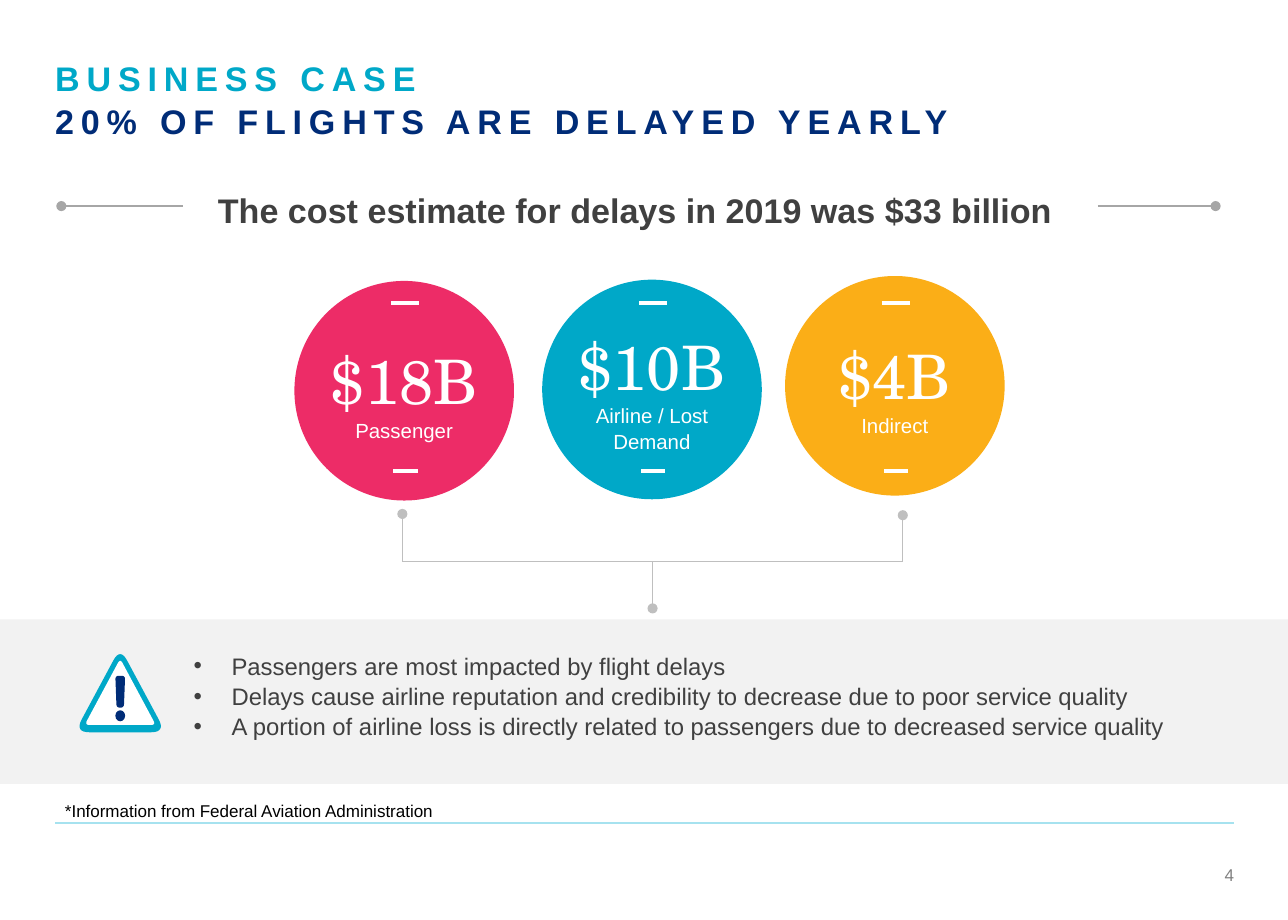
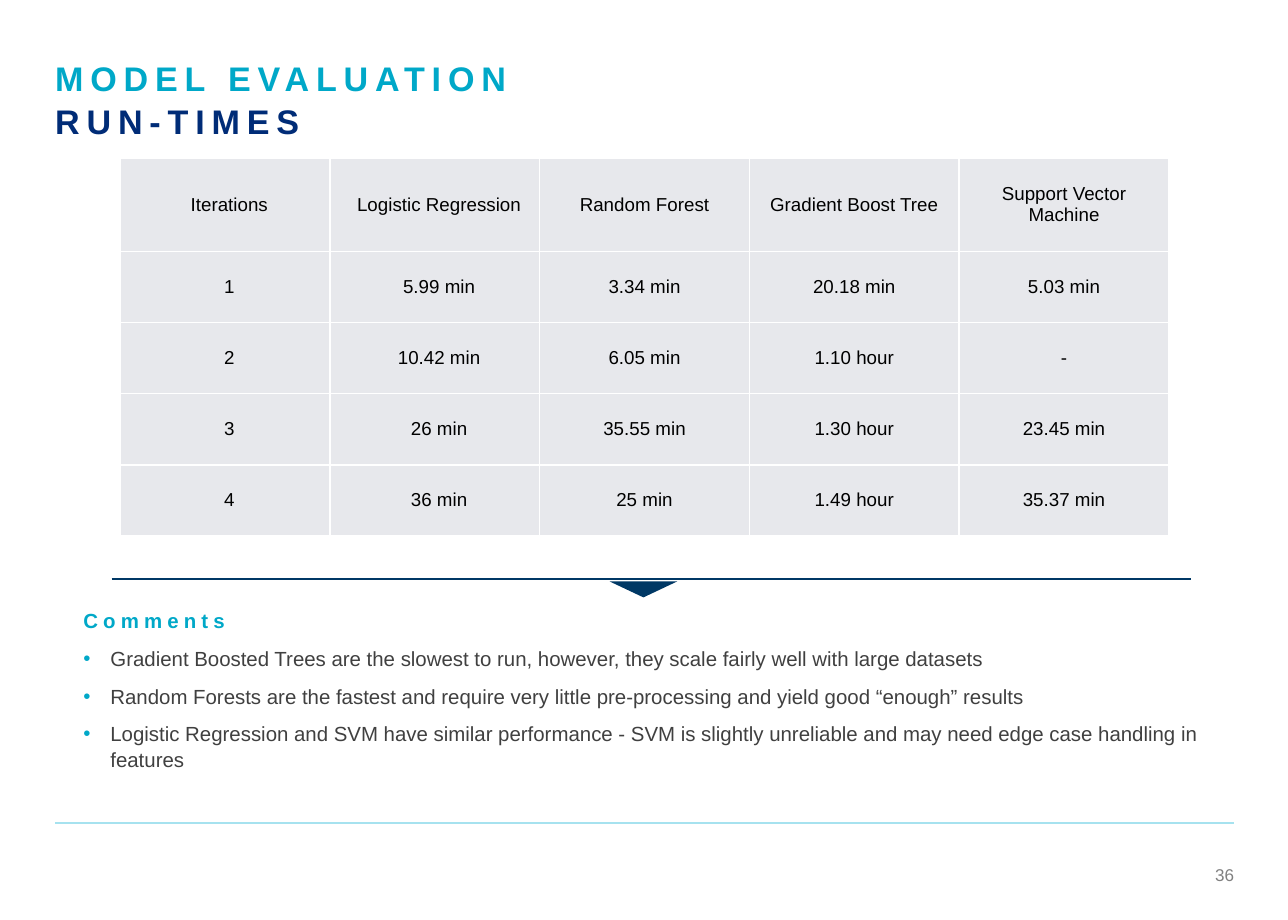
from math import hypot

from lxml.etree import SubElement
from pptx import Presentation
from pptx.dml.color import RGBColor
from pptx.enum.shapes import MSO_CONNECTOR as Connector, MSO_SHAPE as Shape
from pptx.enum.text import MSO_ANCHOR as Anchor, PP_ALIGN as Align
from pptx.oxml.ns import qn
from pptx.util import Inches, Pt

TEAL = RGBColor(0x00, 0xA8, 0xC8)
NAVY = RGBColor(0x00, 0x2C, 0x77)
DEEP_BLUE = RGBColor(0x00, 0x38, 0x65)
PINK = RGBColor(0xED, 0x2C, 0x67)
AMBER = RGBColor(0xFB, 0xAE, 0x17)
PALE_TEAL = RGBColor(0xA6, 0xE2, 0xEF)
BAND_GRAY = RGBColor(0xF2, 0xF2, 0xF2)
CELL_GRAY = RGBColor(0xE7, 0xE8, 0xEC)
TEXT_GRAY = RGBColor(0x40, 0x40, 0x40)
NUMBER_GRAY = RGBColor(0x80, 0x80, 0x80)
RULE_GRAY = RGBColor(0xA6, 0xA6, 0xA6)
BRACKET_GRAY = RGBColor(0xBF, 0xBF, 0xBF)
WHITE = RGBColor(0xFF, 0xFF, 0xFF)
BLACK = RGBColor(0x00, 0x00, 0x00)

BODY_FONT = "Arial"
FIGURE_FONT = "TeX Gyre Schola"
LINE_SPACING = 1.05


def text_format(size, color, bold=False, name=BODY_FONT, tracking=0):
    """Describe how a paragraph's letters look."""
    font = {"size": Pt(size), "bold": bold, "name": name}
    return {"font": font, "color": color, "tracking": tracking}


TITLE_TOP = text_format(20, TEAL, bold=True, tracking=4)
TITLE_BOTTOM = text_format(20, NAVY, bold=True, tracking=4)
PAGE_NUMBER = text_format(10, NUMBER_GRAY)
HEADLINE = text_format(20, TEXT_GRAY, bold=True)
FOOTNOTE = text_format(10, BLACK)
FINDING = text_format(14, TEXT_GRAY)
COST = text_format(36, WHITE, name=FIGURE_FONT)
COST_LABEL = text_format(12, WHITE)
TABLE_TEXT = text_format(11, BLACK)
COMMENT_HEADING = text_format(12, TEAL, bold=True, tracking=3)
COMMENT = text_format(12, TEXT_GRAY)


def write(paragraph, text, style, align=Align.LEFT, spacing=LINE_SPACING):
    """Put one formatted run into a paragraph."""
    paragraph.alignment = align
    paragraph.line_spacing = spacing
    run = paragraph.add_run()
    run.text = text
    for attribute, value in style["font"].items():
        setattr(run.font, attribute, value)
    run.font.color.rgb = style["color"]
    if style["tracking"]:
        run.font._element.set("spc", str(style["tracking"] * 100))


def write_lines(frame, lines, align=Align.LEFT):
    """Write (text, style) pairs as the paragraphs of a text frame."""
    for index, (text, style) in enumerate(lines):
        paragraph = frame.add_paragraph() if index else frame.paragraphs[0]
        write(paragraph, text, style, align)


def add_bullet(paragraph, indent, color):
    """Give a paragraph a hanging round bullet."""
    properties = paragraph._p.get_or_add_pPr()
    properties.set("marL", str(Inches(indent)))
    properties.set("indent", str(-Inches(indent)))
    bullet_color = SubElement(properties, qn("a:buClr"))
    SubElement(bullet_color, qn("a:srgbClr"), val=str(color))
    SubElement(properties, qn("a:buFont"), typeface=BODY_FONT)
    SubElement(properties, qn("a:buChar"), char="•")


def set_margins(target, left, top, right, bottom):
    """Set the inner margins of a text frame or table cell."""
    margins = {"left": left, "top": top, "right": right, "bottom": bottom}
    for side, length in margins.items():
        setattr(target, f"margin_{side}", Inches(length))


def add_text(slide, box, lines, align=Align.LEFT, inset=(0, 0)):
    """Add a wrapping text box; inset is horizontal, vertical."""
    frame = slide.shapes.add_textbox(*map(Inches, box)).text_frame
    frame.word_wrap = True
    set_margins(frame, *inset, *inset)
    write_lines(frame, lines, align)
    return frame


def paint(shape, color):
    """Make a shape flat: solid fill, no line, no shadow."""
    shape.shadow.inherit = False
    shape.fill.solid()
    shape.fill.fore_color.rgb = color
    shape.line.fill.background()


def add_solid(slide, kind, box, color):
    """Add a flat preset shape."""
    shape = slide.shapes.add_shape(kind, *map(Inches, box))
    paint(shape, color)
    return shape


def add_rule(slide, start, end, color, width, dot=False):
    """Add a straight line, with an optional dot at its end."""
    rule = slide.shapes.add_connector(
        Connector.STRAIGHT, *map(Inches, (*start, *end)))
    rule.line.color.rgb = color
    rule.line.width = Pt(width)
    if dot:
        SubElement(rule.line._get_or_add_ln(), qn("a:tailEnd"), type="oval")
    SubElement(rule._element.spPr, qn("a:effectLst"))


def add_rounded_polygon(slide, corners, cut, color, steps=8):
    """Add a polygon whose corners are curved over the length cut."""
    points = []
    for index, (x, y) in enumerate(corners):
        ends = []
        for near_x, near_y in (corners[index - 1],
                               corners[(index + 1) % len(corners)]):
            share = cut / hypot(near_x - x, near_y - y)
            ends.append((x + (near_x - x) * share, y + (near_y - y) * share))
        (x0, y0), (x1, y1) = ends
        for step in range(steps + 1):
            t = step / steps
            before, middle, after = (1 - t) ** 2, 2 * t * (1 - t), t ** 2
            points.append((Inches(before * x0 + middle * x + after * x1),
                           Inches(before * y0 + middle * y + after * y1)))
    builder = slide.shapes.build_freeform(*points[0])
    builder.add_line_segments(points[1:], close=True)
    paint(builder.convert_to_shape(), color)


def add_page(deck, title, subtitle, number):
    """Add a slide with the shared title, footer rule and page number."""
    slide = deck.slides.add_slide(deck.slide_layouts[6])
    add_text(slide, (0.45, 0.45, 9.5, 0.76),
             [(title, TITLE_TOP), (subtitle, TITLE_BOTTOM)])
    add_rule(slide, (0.45, 6.71), (10.06, 6.71), PALE_TEAL, 0.75)
    add_text(slide, (9.57, 7.04, 0.49, 0.17),
             [(str(number), PAGE_NUMBER)], Align.RIGHT)
    return slide


def add_cost_circle(slide, left, top, color, cost, label):
    """Add a cost circle with a short dash above and below its text."""
    size = 1.79
    circle = add_solid(slide, Shape.OVAL, (left, top, size, size), color)
    frame = circle.text_frame
    frame.word_wrap = True
    frame.vertical_anchor = Anchor.MIDDLE
    set_margins(frame, 0, 0, 0, 0)
    write_lines(frame, [(cost, COST), (label, COST_LABEL)], Align.CENTER)
    center = left + size / 2 + 0.01
    for y, length in ((2.47, 0.23), (3.84, 0.2)):
        add_rule(slide, (center - length / 2, y), (center + length / 2, y),
                 WHITE, 2)


def add_bracket(slide):
    """Join the outer circles to the findings below."""
    left, right, bar = 3.28, 7.36, 4.58
    middle = (left + right) / 2
    add_rule(slide, (left, bar), (right, bar), BRACKET_GRAY, 0.75)
    for x, y in ((left, 4.19), (right, 4.2), (middle, 4.96)):
        add_rule(slide, (x, bar), (x, y), BRACKET_GRAY, 0.75, dot=True)


def add_warning_sign(slide):
    """Draw a rounded warning triangle with an exclamation mark."""
    add_rounded_polygon(
        slide, [(0.98, 5.28), (1.35, 5.97), (0.61, 5.97)], 0.12, TEAL)
    add_rounded_polygon(
        slide, [(0.98, 5.37), (1.27, 5.91), (0.69, 5.91)], 0.04, WHITE)
    add_rounded_polygon(
        slide, [(0.94, 5.51), (1.02, 5.51), (1.01, 5.77), (0.95, 5.77)],
        0.03, NAVY)
    add_solid(slide, Shape.OVAL, (0.94, 5.79, 0.08, 0.09), NAVY)


def add_run_times(slide, rows):
    """Add the run-time table with white borders."""
    table = slide.shapes.add_table(
        len(rows), len(rows[0]),
        *map(Inches, (0.98, 1.29, 8.54, 3.08))).table
    table.first_row = table.horz_banding = False
    for index, row in enumerate(table.rows):
        row.height = Inches(0.58 if index else 0.76)
    for column in table.columns:
        column.width = Inches(1.71)
    for r, values in enumerate(rows):
        for c, value in enumerate(values):
            cell = table.cell(r, c)
            cell.vertical_anchor = Anchor.MIDDLE
            set_margins(cell, 0.16 if c < 2 else 0.09, 0.09, 0.09, 0.09)
            write(cell.text_frame.paragraphs[0], value, TABLE_TEXT,
                  Align.CENTER, spacing=1.0)
            properties = cell._tc.get_or_add_tcPr()
            for side in ("lnL", "lnR", "lnT", "lnB"):
                border = SubElement(properties, qn(f"a:{side}"),
                                    w=str(Pt(1)))
                fill = SubElement(border, qn("a:solidFill"))
                SubElement(fill, qn("a:srgbClr"), val=str(WHITE))
            cell.fill.solid()
            cell.fill.fore_color.rgb = CELL_GRAY


def build_business_case(deck):
    """Build the slide on the cost of delays."""
    slide = add_page(deck, "BUSINESS CASE",
                     "20% OF FLIGHTS ARE DELAYED YEARLY", 4)
    add_solid(slide, Shape.RECTANGLE, (0, 5.05, 10.5, 1.34), BAND_GRAY)
    add_text(slide, (0.2, 1.48, 9.96, 0.44),
             [("The cost estimate for delays in 2019 was $33 billion",
               HEADLINE)], Align.CENTER, (0.1, 0.05))
    for inner, outer in ((1.49, 0.5), (8.95, 9.91)):
        add_rule(slide, (inner, 1.68), (outer, 1.68), RULE_GRAY, 1.5,
                 dot=True)
    for circle in (
            (2.4, 2.29, PINK, "$18B", "Passenger"),
            (4.42, 2.28, TEAL, "$10B", "Airline / Lost Demand"),
            (6.4, 2.25, AMBER, "$4B", "Indirect")):
        add_cost_circle(slide, *circle)
    add_bracket(slide)
    add_warning_sign(slide)
    findings = (
        "Passengers are most impacted by flight delays",
        "Delays cause airline reputation and credibility to decrease due to "
        "poor service quality",
        "A portion of airline loss is directly related to passengers due to "
        "decreased service quality")
    frame = add_text(slide, (1.48, 5.25, 8.47, 1.04),
                     [(finding, FINDING) for finding in findings],
                     inset=(0.1, 0.05))
    for paragraph in frame.paragraphs:
        add_bullet(paragraph, 0.31, TEXT_GRAY)
    add_text(slide, (0.45, 6.44, 5.47, 0.33),
             [("*Information from Federal Aviation Administration", FOOTNOTE)],
             inset=(0.08, 0.08))


def build_run_times(deck):
    """Build the slide comparing model run-times."""
    slide = add_page(deck, "MODEL EVALUATION", "RUN-TIMES", 36)
    add_run_times(slide, (
        ("Iterations", "Logistic Regression", "Random Forest",
         "Gradient Boost Tree", "Support Vector Machine"),
        ("1", "5.99 min", "3.34 min", "20.18 min", "5.03 min"),
        ("2", "10.42 min", "6.05 min", "1.10 hour", "-"),
        ("3", "26 min", "35.55 min", "1.30 hour", "23.45 min"),
        ("4", "36 min", "25 min", "1.49 hour", "35.37 min")))
    pointer = add_solid(slide, Shape.ISOSCELES_TRIANGLE,
                        (4.97, 4.74, 0.55, 0.13), DEEP_BLUE)
    pointer.rotation = 180
    add_rule(slide, (0.91, 4.72), (9.71, 4.72), DEEP_BLUE, 1)
    comments = (
        "Gradient Boosted Trees are the slowest to run, however, they scale "
        "fairly well with large datasets",
        "Random Forests are the fastest and require very little "
        "pre-processing and yield good “enough” results",
        "Logistic Regression and SVM have similar performance - SVM is "
        "slightly unreliable and may need edge case handling in features")
    frame = add_text(slide, (0.68, 4.95, 9.58, 2.02),
                     [("Comments", COMMENT_HEADING),
                      *((comment, COMMENT) for comment in comments)])
    for paragraph in frame.paragraphs[1:]:
        paragraph.space_before = Pt(7)
        add_bullet(paragraph, 0.22, TEAL)


def main():
    """Build and save the deck."""
    deck = Presentation()
    deck.slide_width, deck.slide_height = Inches(10.5), Inches(7.5)
    build_business_case(deck)
    build_run_times(deck)
    deck.save("out.pptx")


main()
